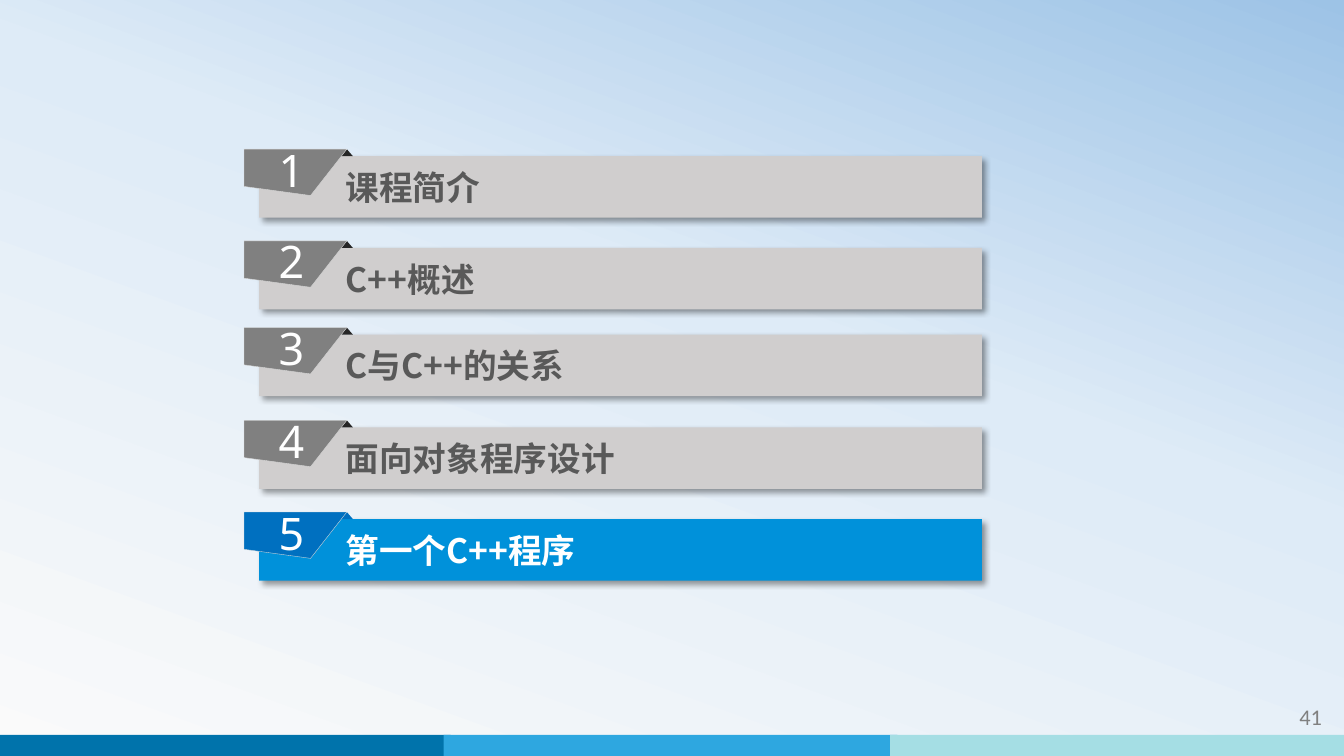
import copy
from dataclasses import dataclass

import pptx
import pptx.util
import pptx.dml.color
import pptx.enum.shapes
import pptx.enum.text
import pptx.oxml
import pptx.oxml.ns

Inches = pptx.util.Inches
SHAPES = pptx.enum.shapes.MSO_SHAPE
ALIGN = pptx.enum.text.PP_ALIGN
MIDDLE = pptx.enum.text.MSO_ANCHOR.MIDDLE

# Chapter title and top of its number tab
CHAPTERS = [
    ("课程简介", 1.48),
    ("C++概述", 2.39),
    ("C与C++的关系", 3.25),
    ("面向对象程序设计", 4.17),
    ("第一个C++程序", 5.08),
]
CURRENT_CHAPTER = 5
PAGE_NUMBER = 41


@dataclass(frozen=True)
class Theme:
    background = [(0, "FAFAFA"), (0.58, "DEEBF7"), (1, "9DC3E6")]
    footer = [(-0.03, "0073AB"), (4.4, "2EA7E0"), (8.83, "A5DEE4")]
    idle = {"bar": "D0CECE", "title": "595959", "tab": "808080", "fold": "262626"}
    active = {"bar": "0091DA", "title": "FFFFFF", "tab": "0070C0", "fold": "0070C0"}
    tab_edge = "D9D9D9"
    number = {"name": "Noto Sans", "size": pptx.util.Pt(32)}
    title = {"name": "Noto Sans CJK SC", "size": pptx.util.Pt(24), "bold": True}
    page_number = {"name": "Calibri", "size": pptx.util.Pt(16)}
    page_number_color = "808080"


THEME = Theme()
BAR_LEFT, BAR_DROP, BAR_WIDTH, BAR_HEIGHT = 2.57, 0.07, 7.17, 0.61
TAB_LEFT = 2.42
TAB_OUTLINE = [(0, 0), (1.02, 0), (0.66, 0.46), (0, 0.37)]
FOLD_LEFT, FOLD_WIDTH = 3.38, 0.12


def rgb(color):
    return pptx.dml.color.RGBColor.from_string(color)


def set_all(target, values):
    for name, value in values.items():
        setattr(target, name, value)


def paint(shape, color):
    shape.shadow.inherit = False
    shape.fill.solid()
    shape.fill.fore_color.rgb = rgb(color)
    shape.line.fill.background()


def add_block(shapes, kind, left, top, width, height, color):
    shape = shapes.add_shape(kind, *map(Inches, (left, top, width, height)))
    paint(shape, color)
    return shape


def write(shape, text, style, color, align, insets):
    """Fill a shape with one line; insets are left, top, right, bottom."""
    frame = shape.text_frame
    sides = ("margin_left", "margin_top", "margin_right", "margin_bottom")
    set_all(frame, dict(zip(sides, map(Inches, insets))))
    set_all(frame, {"word_wrap": True, "vertical_anchor": MIDDLE})
    para = frame.paragraphs[0]
    para.alignment = align
    span = para.add_run()
    span.text = text
    set_all(span.font, style)
    span.font.color.rgb = rgb(color)
    east_asian = span.font._element.makeelement(
        pptx.oxml.ns.qn("a:ea"), {"typeface": style["name"]})
    span.font._element.append(east_asian)
    return span


def cast_shadow(shape):
    effects = shape.element.spPr.find(pptx.oxml.ns.qn("a:effectLst"))
    effects.append(pptx.oxml.parse_xml(
        f'<a:outerShdw {pptx.oxml.ns.nsdecls("a")} blurRad="50800" dist="38100" '
        'dir="2700000" algn="tl" rotWithShape="0"><a:srgbClr val="000000">'
        '<a:alpha val="40000"/></a:srgbClr></a:outerShdw>'))


def paint_background(page):
    fill = page.background.fill
    fill.gradient()
    fill.gradient_angle = 70
    stops = page.element.find(".//" + pptx.oxml.ns.qn("a:gsLst"))
    stops.append(copy.deepcopy(stops[0]))
    for stop, (position, color) in zip(fill.gradient_stops, THEME.background):
        stop.position = position
        stop.color.rgb = rgb(color)


def add_chapter(page, number, title, top):
    colors = THEME.active if number == CURRENT_CHAPTER else THEME.idle
    shapes = page.shapes.add_group_shape().shapes

    bar = add_block(shapes, SHAPES.RECTANGLE, BAR_LEFT, top + BAR_DROP,
                    BAR_WIDTH, BAR_HEIGHT, colors["bar"])
    cast_shadow(bar)
    write(bar, title, THEME.title, colors["title"], ALIGN.LEFT, (0.86, 0.05, 0.1, 0.05))

    add_block(shapes, SHAPES.ISOSCELES_TRIANGLE, FOLD_LEFT, top,
              FOLD_WIDTH, BAR_DROP, colors["fold"])

    corners = [(Inches(TAB_LEFT + x), Inches(top + y)) for x, y in TAB_OUTLINE]
    outline = shapes.build_freeform(*corners[0])
    outline.add_line_segments(corners[1:], close=True)
    tab = outline.convert_to_shape()
    paint(tab, colors["tab"])
    tab.line.color.rgb = rgb(THEME.tab_edge)
    tab.line.width = pptx.util.Pt(0.25)
    write(tab, str(number), THEME.number, "FFFFFF", ALIGN.CENTER, (0.09, 0.04, 0.17, 0.1))


def add_page_number(page):
    box = page.shapes.add_textbox(*map(Inches, (11.62, 6.91, 1.59, 0.4)))
    span = write(box, str(PAGE_NUMBER), THEME.page_number, THEME.page_number_color,
                 ALIGN.RIGHT, (0.1, 0.05, 0.1, 0.05))
    field = pptx.oxml.parse_xml(
        f'<a:fld {pptx.oxml.ns.nsdecls("a")} type="slidenum" '
        'id="{B6F15528-21DE-4FAA-801E-634DDDAF4B2B}"/>')
    run = span._r
    run.addprevious(field)
    field.extend(list(run))
    run.getparent().remove(run)


def main():
    deck = pptx.Presentation()
    set_all(deck, {"slide_width": Inches(13.33), "slide_height": Inches(7.5)})
    deck.element.set("firstSlideNum", str(PAGE_NUMBER))
    page = deck.slides.add_slide(deck.slide_layouts.get_by_name("Blank"))
    paint_background(page)
    for left, color in THEME.footer:
        add_block(page.shapes, SHAPES.RECTANGLE, left, 7.29, 4.5, 0.21, color)
    add_page_number(page)
    for number, (title, top) in enumerate(CHAPTERS, start=1):
        add_chapter(page, number, title, top)
    deck.save("out.pptx")


if __name__ == "__main__":
    main()
